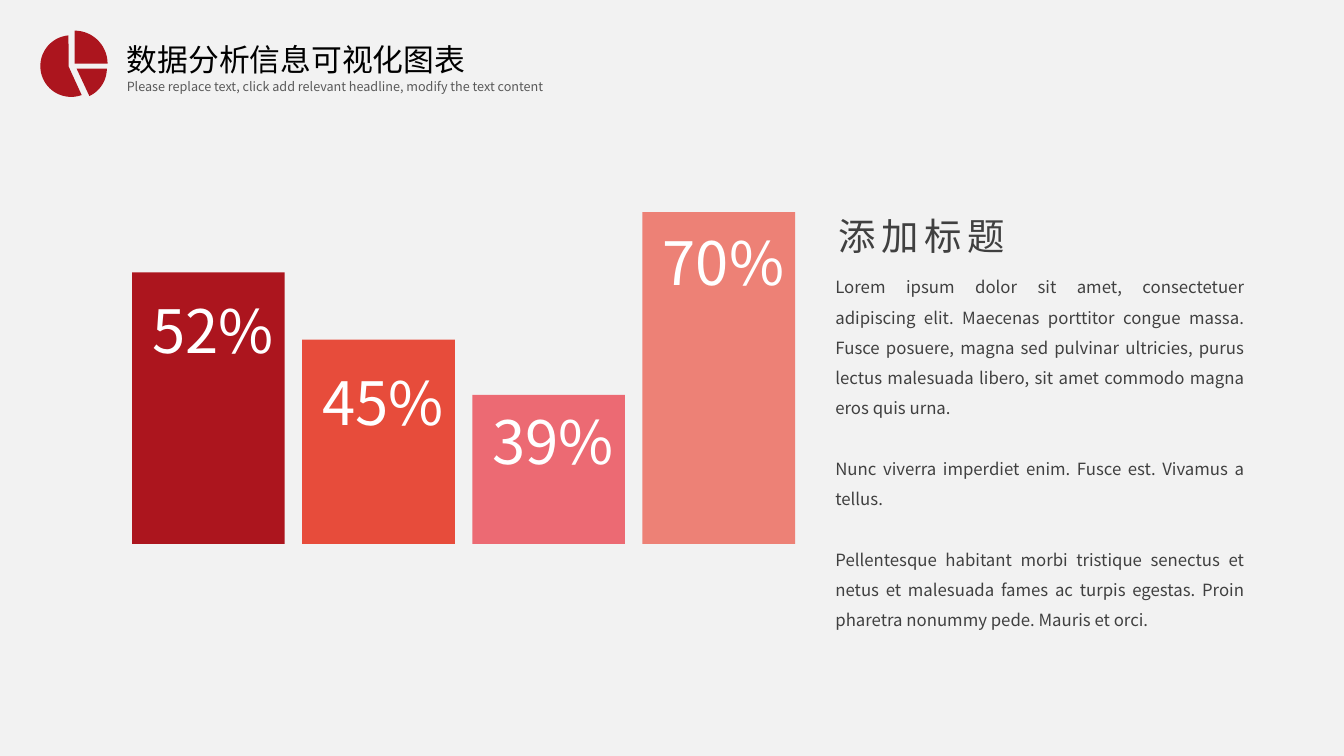
from math import cos, radians, sin

from lxml.etree import SubElement
from pptx import Presentation
from pptx.dml.color import RGBColor
from pptx.enum.shapes import MSO_SHAPE
from pptx.enum.text import MSO_ANCHOR, MSO_AUTO_SIZE, PP_ALIGN
from pptx.oxml.ns import qn
from pptx.util import Pt

FONT = "Noto Sans CJK SC"
RED, INK, GREY, WHITE = "AC151E", "404040", "595959", "FFFFFF"
BARS = [
    ("52%", 194, 11.5, RED),
    ("45%", 146, 15, "E74C3B"),
    ("39%", 106.5, 2.9, "EC6A73"),
    ("70%", 237, 5.8, "ED8176"),
]
WEDGES = [
    ((25.9, 27.4), (25.9, 27.4), 21.6, 0, 65),
    ((20.2, 25.9), (22, 25.6), 22, 70, 265),
    ((24.5, 23.8), (24.5, 23.8), 23.5, -90, 0),
]
BODY = [
    "Lorem ipsum dolor sit amet, consectetuer adipiscing elit. Maecenas porttitor congue massa. "
    "Fusce posuere, magna sed pulvinar ultricies, purus lectus malesuada libero, "
    "sit amet commodo magna eros quis urna.",
    "Nunc viverra imperdiet enim. Fusce est. Vivamus a tellus.",
    "Pellentesque habitant morbi tristique senectus et netus et malesuada fames ac turpis egestas. "
    "Proin pharetra nonummy pede. Mauris et orci.",
]


def color(hex_code):
    """Turn a hex string into a colour."""
    return RGBColor.from_string(hex_code)


def apply(target, values):
    """Set every attribute named in a dict of format values."""
    for name, value in values.items():
        setattr(target, name, value)


def paint(shape, hex_code):
    """Give a shape a flat fill without line or shadow."""
    shape.shadow.inherit = False
    shape.fill.solid()
    shape.fill.fore_color.rgb = color(hex_code)
    shape.line.fill.background()


def write(holder, box, lines, size, hex_code, paragraph_format, wrap=True,
          anchor=MSO_ANCHOR.MIDDLE, gap=0, tracking=0):
    """Place a text holder in its box and fill it with formatted paragraphs."""
    apply(holder, dict(zip(("left", "top", "width", "height"), map(Pt, box))))
    frame = holder.text_frame
    apply(frame, {
        "auto_size": MSO_AUTO_SIZE.NONE, "word_wrap": wrap, "vertical_anchor": anchor,
        "margin_left": Pt(7.2), "margin_right": Pt(7.2),
        "margin_top": Pt(3.6), "margin_bottom": Pt(3.6),
    })
    for index, line in enumerate(lines):
        paragraph = frame.add_paragraph() if index else frame.paragraphs[0]
        properties = paragraph._p.get_or_add_pPr()
        apply(paragraph, {"space_before": Pt(gap if index else 0), **paragraph_format})
        properties.set("marL", "0")
        properties.set("indent", "0")
        SubElement(properties, qn("a:buNone"))
        run = paragraph.add_run()
        run.text = line
        apply(run.font, {"size": Pt(size), "name": FONT})
        run.font.color.rgb = color(hex_code)
        run_properties = run._r.get_or_add_rPr()
        SubElement(run_properties, qn("a:ea")).set("typeface", FONT)
        if tracking:
            run_properties.set("spc", str(tracking * 100))


def add_label(slide, box, *args, **options):
    """Add a text box with one line of text."""
    write(slide.shapes.add_textbox(0, 0, 0, 0), box, *args, **options)


def draw_pie_icon(slide, left, top):
    """Draw the three separated pie wedges as one outline."""
    builder = None
    for tip, (center_x, center_y), radius, start, end in WEDGES:
        tip_x, tip_y = Pt(left + tip[0]), Pt(top + tip[1])
        if builder is None:
            builder = slide.shapes.build_freeform(tip_x, tip_y)
        else:
            builder.move_to(tip_x, tip_y)
        steps = 40
        angles = [radians(start + (end - start) * step / steps) for step in range(steps + 1)]
        builder.add_line_segments([
            (Pt(left + center_x + radius * cos(angle)), Pt(top + center_y + radius * sin(angle)))
            for angle in angles
        ])
    paint(builder.convert_to_shape(), RED)


def draw_header(slide, left, top):
    """Place the icon, the slide title and its subtitle."""
    draw_pie_icon(slide, left, top)
    flush = {"alignment": PP_ALIGN.LEFT}
    write(slide.shapes.title, (left + 54.7, top + 3.6, 307, 33.8),
          ["数据分析信息可视化图表"], 22, "000000", flush)
    add_label(slide, (left + 54.7, top + 31, 363, 18),
              ["Please replace text, click add relevant headline, modify the text content"],
              9, GREY, flush)


def draw_bars(slide, left, bottom, width, pitch):
    """Draw the percentage bars on a common base line."""
    for index, (share, height, label_drop, hex_code) in enumerate(BARS):
        bar_left, bar_top = left + index * pitch, bottom - height
        bar = slide.shapes.add_shape(MSO_SHAPE.RECTANGLE, Pt(bar_left), Pt(bar_top),
                                     Pt(width), Pt(height))
        paint(bar, hex_code)
        add_label(slide, (bar_left + 7.4, bar_top + label_drop, 101, 59), [share],
                  42.7, WHITE, {"alignment": PP_ALIGN.LEFT}, wrap=False)


def draw_commentary(slide, left, top, width):
    """Place the heading and the justified text beside the bars."""
    add_label(slide, (left, top, 138, 39.6), ["添加标题"], 26.7, INK,
              {"alignment": PP_ALIGN.CENTER}, wrap=False, tracking=4)
    write(slide.placeholders[1], (left, top + 38.9, width, 266.4), BODY, 12, INK,
          {"alignment": PP_ALIGN.JUSTIFY, "line_spacing": 1.5},
          anchor=MSO_ANCHOR.TOP, gap=21.6)


def main():
    """Build and save the slide."""
    presentation = Presentation()
    apply(presentation, {"slide_width": Pt(960), "slide_height": Pt(540)})
    slide = presentation.slides.add_slide(presentation.slide_layouts[1])
    slide.background.fill.solid()
    slide.background.fill.fore_color.rgb = color("F2F2F2")
    draw_header(slide, left=28.8, top=21.6)
    draw_bars(slide, left=94.4, bottom=388.5, width=109, pitch=121.5)
    draw_commentary(slide, left=589.5, top=148.3, width=306.7)
    presentation.save("out.pptx")


if __name__ == "__main__":
    main()
